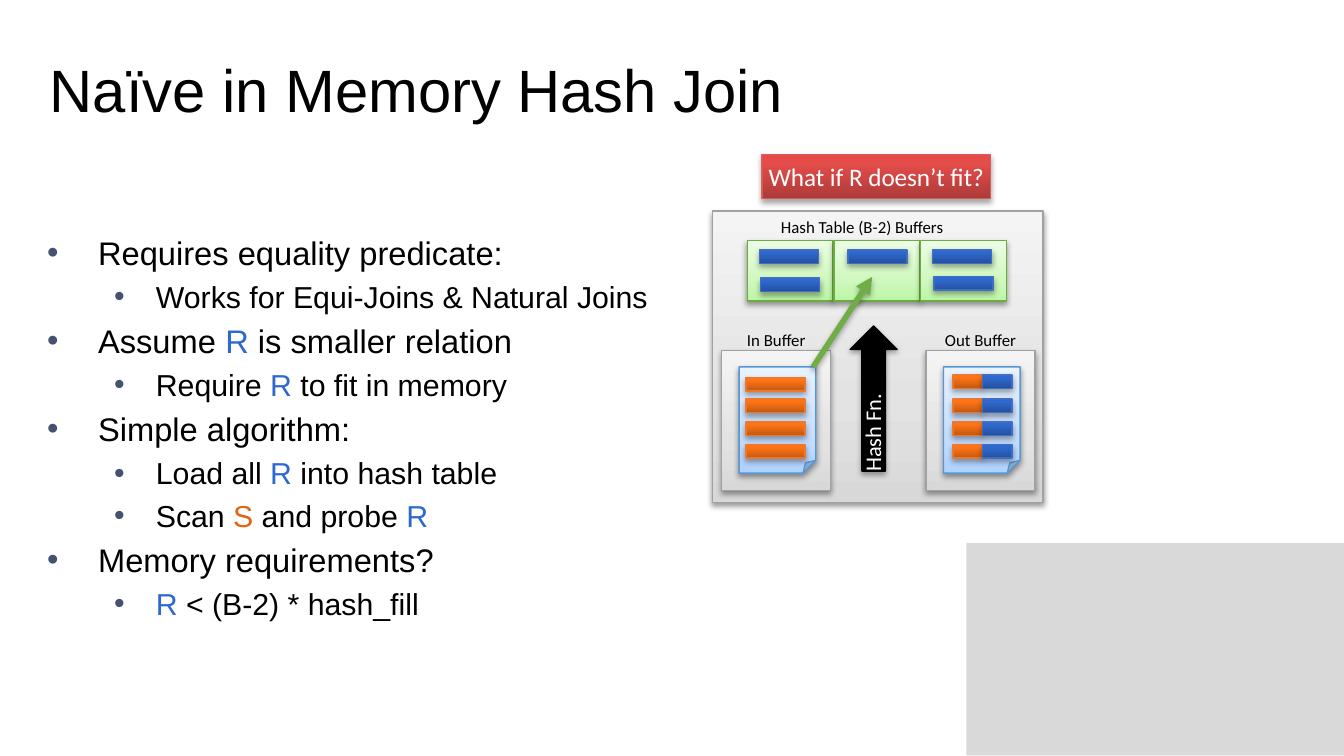
from dataclasses import dataclass
from typing import Any, NamedTuple, Optional

from lxml.etree import SubElement
from pptx import Presentation
from pptx.dml.color import RGBColor
from pptx.enum.shapes import MSO_CONNECTOR as Connector, MSO_SHAPE as Shape
from pptx.enum.text import MSO_ANCHOR as Anchor, MSO_AUTO_SIZE as AutoSize, PP_ALIGN as Align
from pptx.oxml.ns import qn
from pptx.util import Inches, Pt


class Shadow(NamedTuple):
    opacity: int
    distance: float


class Style(NamedTuple):
    """Gradient stops run from the bottom of the shape to its top."""
    stops: tuple
    line: str
    shadow: Shadow


class Box(NamedTuple):
    left: float
    top: float
    width: float
    height: float


class Bullet(NamedTuple):
    level: int
    runs: tuple


SOFT, STRONG = Shadow(38, 1.6), Shadow(35, 1.8)


@dataclass(frozen=True)
class Theme:
    black: str = "000000"
    white: str = "FFFFFF"
    corner: str = "D9D9D9"
    bullet: str = "44516F"
    relation_r: str = "2E69D0"
    relation_s: str = "E16513"
    arrow: str = "70AD47"
    text_font: str = "Arial"
    diagram_font: str = "Calibri"
    title_size: float = 32
    bullet_sizes: tuple = (17.5, 16.2)
    label_size: float = 9
    hash_size: float = 12
    question_size: float = 13.5
    panel: Style = Style(((0, "D8D8D8"), (35, "E3E3E3"), (100, "F4F4F4")), "A1A1A1", SOFT)
    bucket: Style = Style(((0, "BCF6A4"), (35, "D0F8BF"), (100, "ECFDE5")), "6DAC43", SOFT)
    page: Style = Style(((0, "AFD2FF"), (35, "C6DEFF"), (100, "E9F2FF")), "5698D3", SOFT)
    s_record: Style = Style(((0, "C3580F"), (80, "FF7416"), (100, "FF7517")), "EC792B", STRONG)
    r_record: Style = Style(((0, "24509E"), (80, "2F69D0"), (100, "2C69D4")), "3F6EC3", STRONG)
    question: Style = Style(((0, "AD3A38"), (80, "E44D4A"), (100, "E84A48")), "D75C5A", STRONG)


THEME = Theme()
SLIDE_WIDTH = Inches(10)
SLIDE_HEIGHT = SLIDE_WIDTH * 9 // 16
R = ("R", THEME.relation_r)
S = ("S", THEME.relation_s)
BULLETS = (
    Bullet(0, ("Requires equality predicate:",)),
    Bullet(1, ("Works for Equi-Joins & Natural Joins",)),
    Bullet(0, ("Assume ", R, " is smaller relation")),
    Bullet(1, ("Require ", R, " to fit in memory")),
    Bullet(0, ("Simple algorithm:",)),
    Bullet(1, ("Load all ", R, " into hash table")),
    Bullet(1, ("Scan ", S, " and probe ", R)),
    Bullet(0, ("Memory requirements?",)),
    Bullet(1, (R, " < (B-2) * hash_fill")),
)
INDENTS = ((0.38, -0.38), (0.81, -0.31))
SPACE_BEFORE = (3.6, 3.3)
RECORD_TOPS = (2.81, 2.97, 3.14, 3.31)
PAIR_TOPS = (2.79, *RECORD_TOPS[1:])
BUCKET_RECORDS = ((5.65, 1.86), (5.66, 2.07), (6.31, 1.86), (6.94, 1.86), (6.95, 2.06))


def apply(target: Any, **values: Any) -> None:
    for name, value in values.items():
        setattr(target, name, value)


def lengths(box: Box) -> tuple:
    return tuple(Inches(value) for value in box)


def place(shape: Any, box: Box) -> None:
    apply(shape, **dict(zip(Box._fields, lengths(box))))


def set_font(font: Any, name: str, size: float, color: str) -> None:
    apply(font, name=name, size=Pt(size))
    font.color.rgb = RGBColor.from_string(color)


def add_shadow(effects: Any, shadow: Shadow) -> None:
    outer = SubElement(effects, qn("a:outerShdw"), blurRad=str(Pt(3)),
                       dist=str(Pt(shadow.distance)), dir="5400000", rotWithShape="0")
    color = SubElement(outer, qn("a:srgbClr"), val=THEME.black)
    SubElement(color, qn("a:alpha"), val=str(shadow.opacity * 1000))


def add_flat(slide: Any, kind: Shape, box: Box, fill: str, line: Optional[str] = None,
             shadow: Optional[Shadow] = None) -> Any:
    shape = slide.shapes.add_shape(kind, *lengths(box))
    shape.fill.solid()
    shape.fill.fore_color.rgb = RGBColor.from_string(fill)
    if line:
        shape.line.color.rgb = RGBColor.from_string(line)
        shape.line.width = Pt(0.75)
    else:
        shape.line.fill.background()
    shape.shadow.inherit = False
    if shadow:
        add_shadow(shape.element.spPr.find(qn("a:effectLst")), shadow)
    return shape


def add_styled(slide: Any, box: Box, style: Style, kind: Shape = Shape.RECTANGLE) -> Any:
    shape = add_flat(slide, kind, box, style.stops[0][1], style.line, style.shadow)
    shape.fill.gradient()
    shape.fill.gradient_angle = 90
    stops = shape.element.spPr.find(qn("a:gradFill")).find(qn("a:gsLst"))
    stops.clear()
    for position, color in style.stops:
        stop = SubElement(stops, qn("a:gs"), pos=str(position * 1000))
        SubElement(stop, qn("a:srgbClr"), val=color)
    return shape


def write(shape: Any, text: str, size: float, color: str, align: Align = Align.CENTER,
          wrap: bool = True, anchor: Anchor = Anchor.TOP) -> None:
    frame = shape.text_frame
    apply(frame, word_wrap=wrap, auto_size=AutoSize.SHAPE_TO_FIT_TEXT, vertical_anchor=anchor)
    apply(frame, **{f"margin_{side}": Inches(0.04) for side in ("left", "top", "right", "bottom")})
    paragraph = frame.paragraphs[0]
    apply(paragraph, text=text, alignment=align)
    set_font(paragraph.runs[0].font, THEME.diagram_font, size, color)


def add_label(slide: Any, box: Box, text: str, **options: Any) -> None:
    write(slide.shapes.add_textbox(*lengths(box)), text, THEME.label_size, THEME.black, **options)


def add_bullet(paragraph: Any, bullet: Bullet) -> None:
    properties = paragraph._p.get_or_add_pPr()
    left, first = INDENTS[bullet.level]
    properties.set("marL", str(Inches(left)))
    properties.set("indent", str(Inches(first)))
    color = SubElement(properties, qn("a:buClr"))
    SubElement(color, qn("a:srgbClr"), val=THEME.bullet)
    SubElement(properties, qn("a:buFont"), typeface=THEME.text_font)
    SubElement(properties, qn("a:buChar"), char="•")
    paragraph.level = bullet.level
    for part in bullet.runs:
        text, shade = (part, THEME.black) if isinstance(part, str) else part
        run = paragraph.add_run()
        run.text = text
        set_font(run.font, THEME.text_font, THEME.bullet_sizes[bullet.level], shade)


def fill_placeholders(slide: Any) -> None:
    title, body = slide.shapes.title, slide.placeholders[1]
    place(title, Box(0.27, 0.34, 8.23, 1.25))
    place(body, Box(0.25, 1.68, 9.48, 2.86))
    for shape in (title, body):
        apply(shape.text_frame, auto_size=AutoSize.NONE, word_wrap=True,
              vertical_anchor=Anchor.TOP, margin_top=Inches(0.05))
    heading = title.text_frame.paragraphs[0]
    apply(heading, text="Naïve in Memory Hash Join", alignment=Align.LEFT)
    set_font(heading.runs[0].font, THEME.text_font, THEME.title_size, THEME.black)
    frame = body.text_frame
    for index, bullet in enumerate(BULLETS):
        paragraph = frame.add_paragraph() if index else frame.paragraphs[0]
        add_bullet(paragraph, bullet)
        paragraph.space_before = Pt(SPACE_BEFORE[bullet.level] if index else 0)


def add_buffer(slide: Any, left: float, name: str) -> None:
    add_styled(slide, Box(left, 2.61, 0.81, 1.04), THEME.panel)
    add_label(slide, Box(left, 2.41, 0.81, 0.23), name)
    add_styled(slide, Box(left + 0.13, 2.73, 0.57, 0.79), THEME.page, Shape.FOLDED_CORNER)


def add_probe_arrow(slide: Any) -> None:
    ends = (Inches(value) for value in (6.05, 2.73, 6.49, 2.06))
    arrow = slide.shapes.add_connector(Connector.STRAIGHT, *ends)
    arrow.line.color.rgb = RGBColor.from_string(THEME.arrow)
    arrow.line.width = Pt(3)
    SubElement(arrow.line._get_or_add_ln(), qn("a:tailEnd"), type="triangle")
    add_shadow(SubElement(arrow.element.spPr, qn("a:effectLst")), STRONG)


def draw_diagram(slide: Any) -> None:
    # Memory and hash table
    add_styled(slide, Box(5.3, 1.57, 2.46, 2.17), THEME.panel)
    for column in range(3):
        add_styled(slide, Box(5.56 + 0.645 * column, 1.79, 0.64, 0.45), THEME.bucket)
    add_label(slide, Box(5.77, 1.57, 1.31, 0.23), "Hash Table (B-2) Buffers",
              align=Align.LEFT, wrap=False)
    # Hash function
    hash_arrow = add_flat(slide, Shape.RIGHT_ARROW, Box(5.96, 2.79, 1.08, 0.35),
                          THEME.black, THEME.black, STRONG)
    hash_text = slide.shapes.add_textbox(*lengths(Box(5.93, 2.85, 1.12, 0.28)))
    write(hash_text, "Hash Fn.", THEME.hash_size, THEME.white, align=Align.LEFT)
    hash_arrow.rotation = hash_text.rotation = 270
    # Buffers and records
    add_buffer(slide, 6.89, "Out Buffer")
    add_buffer(slide, 5.37, "In Buffer")
    for left, top in BUCKET_RECORDS:
        add_styled(slide, Box(left, top, 0.44, 0.1), THEME.r_record)
    for top, pair_top in zip(RECORD_TOPS, PAIR_TOPS):
        add_styled(slide, Box(5.55, top, 0.44, 0.1), THEME.s_record)
        add_styled(slide, Box(7.09, pair_top, 0.22, 0.1), THEME.s_record)
        add_styled(slide, Box(7.31, pair_top, 0.22, 0.1), THEME.r_record)
    add_probe_arrow(slide)
    # Question
    question = add_styled(slide, Box(5.67, 1.15, 1.7, 0.33), THEME.question)
    write(question, "What if R doesn’t fit?", THEME.question_size, THEME.white,
          wrap=False, anchor=Anchor.MIDDLE)


def main() -> None:
    presentation = Presentation()
    apply(presentation, slide_width=SLIDE_WIDTH, slide_height=SLIDE_HEIGHT)
    slide = presentation.slides.add_slide(presentation.slide_layouts[1])
    # Corner block behind everything else
    corner = add_flat(slide, Shape.RECTANGLE, Box(7.19, 4.04, 2.81, 1.58), THEME.corner)
    slide.shapes.element.insert(2, corner.element)
    fill_placeholders(slide)
    draw_diagram(slide)
    presentation.save("out.pptx")


if __name__ == "__main__":
    main()
